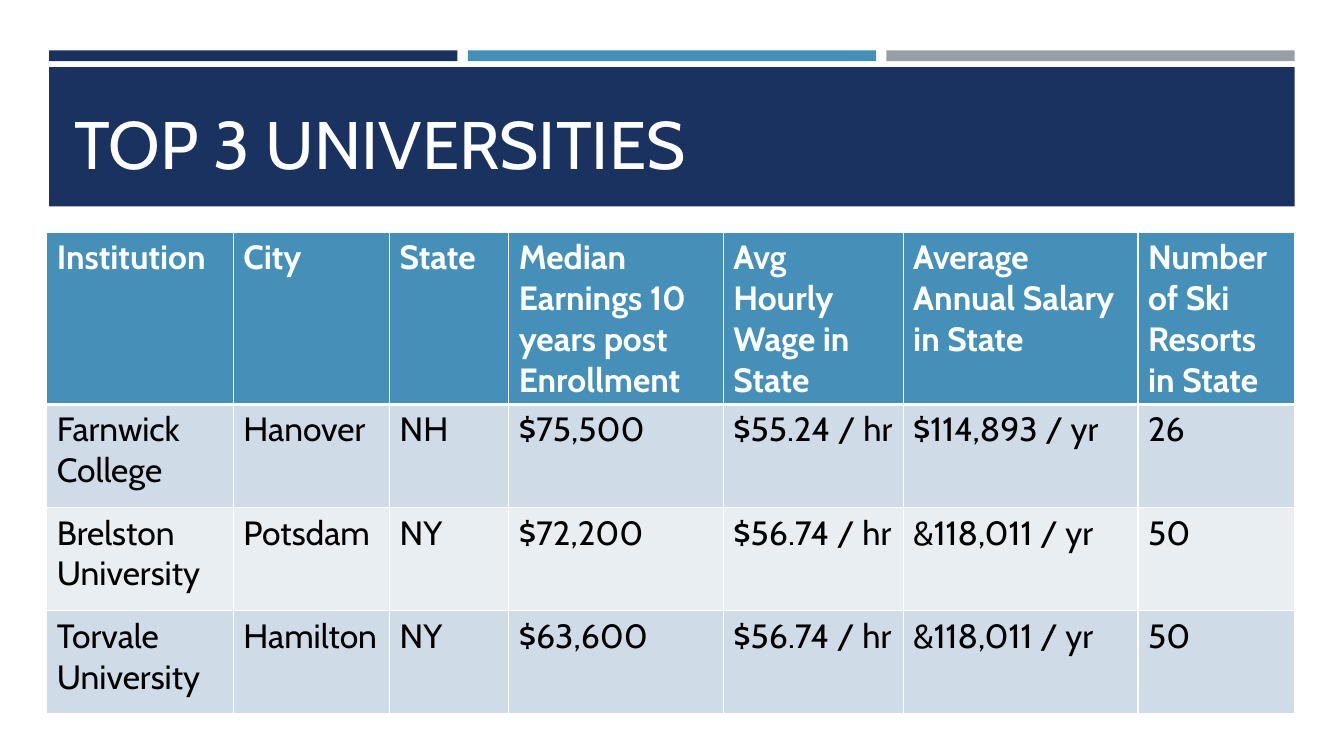
import pptx
import pptx.dml.color
import pptx.enum.shapes
import pptx.enum.text
import pptx.oxml
import pptx.oxml.ns
import pptx.util

Cm = pptx.util.Cm
Pt = pptx.util.Pt

FONT = "Cabin"
NAVY, BLUE, GREY = "1A3260", "4590B8", "969FA7"
WHITE, BLACK = "FFFFFF", "000000"
BANDS = ["CFDBE6", "E9EEF3"]

TITLE = "TOP 3 UNIVERSITIES"
ROWS = [
    ["Institution", "City", "State", "Median Earnings 10 years post Enrollment",
     "Avg Hourly Wage in State", "Average Annual Salary in State",
     "Number of Ski Resorts in State"],
    ["Farnwick College", "Hanover", "NH", "$75,500", "$55.24 / hr",
     "$114,893 / yr", "26"],
    ["Brelston University", "Potsdam", "NY", "$72,200", "$56.74 / hr",
     "&118,011 / yr", "50"],
    ["Torvale University", "Hamilton", "NY", "$63,600", "$56.74 / hr",
     "&118,011 / yr", "50"],
]
COL_WIDTHS = [4.7, 3.94, 3, 5.41, 4.53, 5.92, 3.94]
ROW_HEIGHTS = [4.34, 2.6, 2.6, 2.6]

LEFT, WIDTH = 1.24, 31.39
STRIPE_GAP = 0.26
STRIPE_WIDTH = (WIDTH - 2 * STRIPE_GAP) / 3


def color(value):
    return pptx.dml.color.RGBColor.from_string(value)


def add_bar(s, x, y, w, h, fill):
    sp = s.shapes.add_shape(pptx.enum.shapes.MSO_SHAPE.RECTANGLE,
                            Cm(x), Cm(y), Cm(w), Cm(h))
    sp.shadow.inherit = False
    sp.fill.solid()
    sp.fill.fore_color.rgb = color(fill)
    sp.line.fill.background()


def add_text(tf, text, size, rgb, bold=False):
    r = tf.paragraphs[0].add_run()
    r.text = text
    r.font.name = FONT
    r.font.size = Pt(size)
    r.font.bold = bold
    r.font.color.rgb = color(rgb)


def set_borders(cell, top, bottom):
    tcPr = cell._tc.get_or_add_tcPr()
    widths = {"lnL": 1, "lnR": 1, "lnT": top, "lnB": bottom}
    for i, (side, width) in enumerate(widths.items()):
        tcPr.insert(i, pptx.oxml.parse_xml(
            f'<a:{side} {pptx.oxml.ns.nsdecls("a")} w="{Pt(width)}">'
            f'<a:solidFill><a:srgbClr val="{WHITE}"/></a:solidFill></a:{side}>'))


def add_ranking(s):
    table = s.shapes.add_table(len(ROWS), len(COL_WIDTHS), Cm(1.18), Cm(5.85),
                               Cm(sum(COL_WIDTHS)), Cm(sum(ROW_HEIGHTS))).table
    for column, width in zip(table.columns, COL_WIDTHS):
        column.width = Cm(width)
    for i, values in enumerate(ROWS):
        table.rows[i].height = Cm(ROW_HEIGHTS[i])
        header = i == 0
        for j, value in enumerate(values):
            cell = table.cell(i, j)
            cell.fill.solid()
            cell.fill.fore_color.rgb = color(BLUE if header else BANDS[(i - 1) % 2])
            set_borders(cell, 3 if i == 1 else 1, 3 if header else 1)
            add_text(cell.text_frame, value, 24, WHITE if header else BLACK, header)


def main():
    prs = pptx.Presentation()
    prs.slide_width, prs.slide_height = Cm(33.87), Cm(19.05)
    s = prs.slides.add_slide(prs.slide_layouts[6])
    for i, fill in enumerate([NAVY, BLUE, GREY]):
        add_bar(s, LEFT + i * (STRIPE_WIDTH + STRIPE_GAP), 1.27,
                STRIPE_WIDTH, 0.27, fill)
    add_bar(s, LEFT, 1.69, WIDTH, 3.51, NAVY)

    title = s.shapes.add_textbox(Cm(1.63), Cm(2.03), Cm(30.63), Cm(2.74))
    tf = title.text_frame
    tf.word_wrap = True
    tf.vertical_anchor = pptx.enum.text.MSO_ANCHOR.BOTTOM
    tf.paragraphs[0].line_spacing = 0.9
    add_text(tf, TITLE, 48, WHITE)

    add_ranking(s)
    prs.save("out.pptx")


if __name__ == "__main__":
    main()
